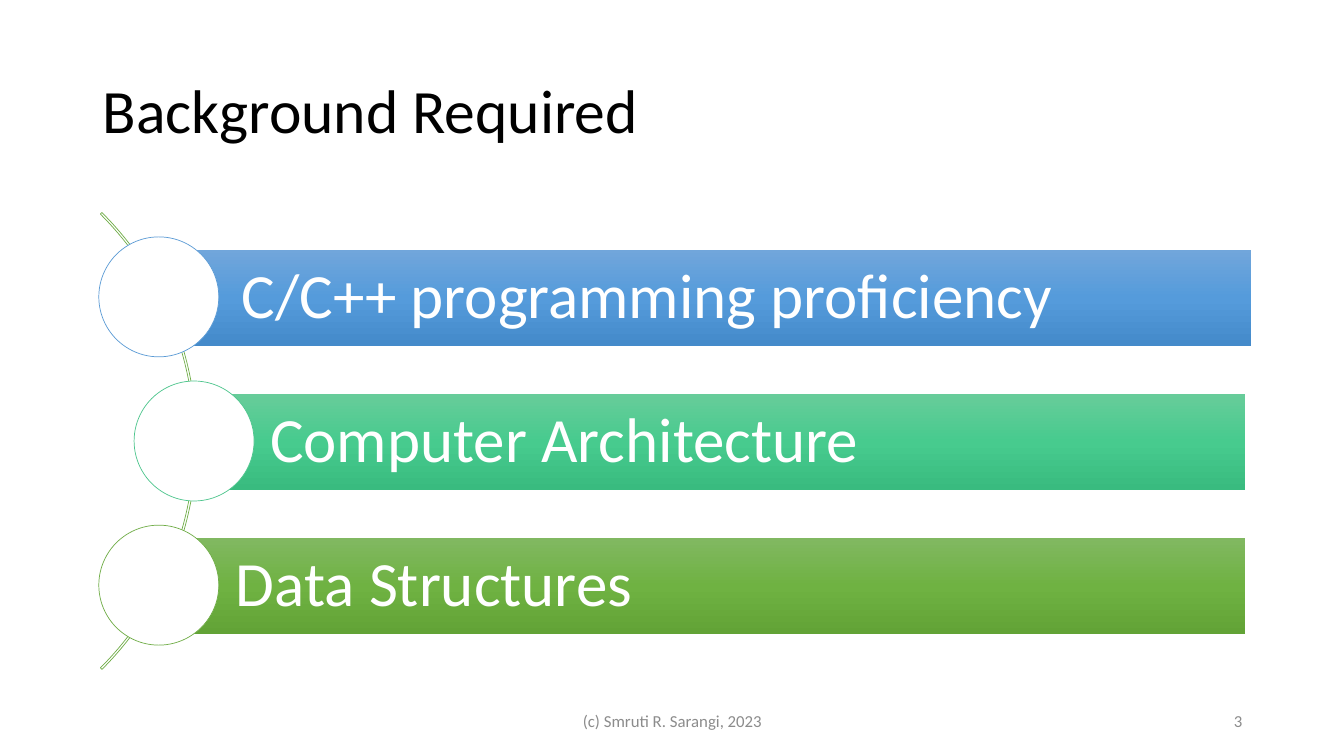
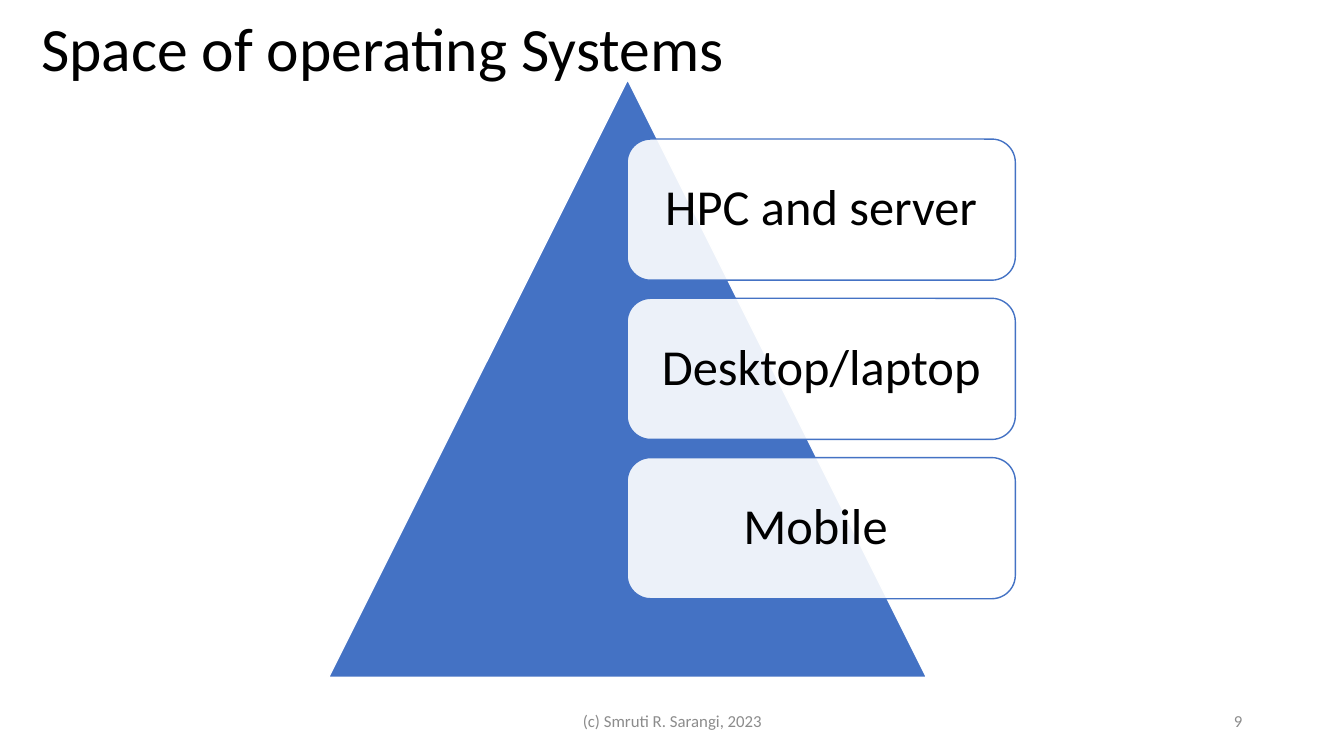
from copy import deepcopy

from lxml import etree
from pptx import Presentation
from pptx.dml.color import RGBColor
from pptx.enum.shapes import MSO_SHAPE
from pptx.enum.text import MSO_ANCHOR, PP_ALIGN
from pptx.oxml.ns import qn
from pptx.util import Emu, Pt

PX = 9144
FONT = "Calibri"
LEFT, CENTER, RIGHT = PP_ALIGN.LEFT, PP_ALIGN.CENTER, PP_ALIGN.RIGHT
MIDDLE = MSO_ANCHOR.MIDDLE
RECT, ELLIPSE = MSO_SHAPE.RECTANGLE, MSO_SHAPE.OVAL
ARC, TRIANGLE = MSO_SHAPE.BLOCK_ARC, MSO_SHAPE.ISOSCELES_TRIANGLE
ROUNDED = MSO_SHAPE.ROUNDED_RECTANGLE

COLORS = {
    "black": "000000",
    "white": "FFFFFF",
    "gray": "8C8C8C",
    "royal": "4472C4",
    "blue": "5B9BD5",
    "teal": "4DC58D",
    "green": "70AD47",
}
GRADIENTS = {
    "blue": ("71A6DB", "559BDB", "448ACA"),
    "teal": ("67CC9A", "47CB8E", "39BB7F"),
    "green": ("81B861", "6FB242", "62A336"),
}


def px(*lengths):
    return [Emu(length * PX) for length in lengths]


def rgb(name):
    return RGBColor.from_string(COLORS[name])


def write(shape, text, size, color="black", align=LEFT, spacing=0.9, insets=(10, 5, 10, 5)):
    frame = shape.text_frame
    frame.word_wrap = True
    frame.vertical_anchor = MIDDLE
    (frame.margin_left, frame.margin_top,
     frame.margin_right, frame.margin_bottom) = px(*insets)
    paragraph = frame.paragraphs[0]
    paragraph.alignment = align
    paragraph.line_spacing = spacing
    run = paragraph.add_run()
    run.text = text
    run.font.name = FONT
    run.font.size = Pt(size)
    run.font.color.rgb = rgb(color)


class Deck:
    def __init__(self):
        self.presentation = Presentation()
        self.presentation.slide_width, self.presentation.slide_height = px(1333, 750)
        self.slide = None

    def add_slide(self, title, title_at, number):
        self.slide = self.presentation.slides.add_slide(self.presentation.slide_layouts[6])
        self.text(title, (*title_at, 1150, 145), size=44)
        self.text(number, (942, 695, 300, 40), size=12, color="gray", align=RIGHT, spacing=1.0)
        self.text("(c) Smruti R. Sarangi, 2023", (442, 695, 450, 40),
                  size=12, color="gray", align=CENTER, spacing=1.0)

    def text(self, text, box, **style):
        write(self.slide.shapes.add_textbox(*px(*box)), text, **style)

    def shape(self, kind, box, fill=None, line=None, width=1.0, opacity=100):
        shape = self.slide.shapes.add_shape(kind, *px(*box))
        shape.shadow.inherit = False
        if fill:
            shape.fill.solid()
            shape.fill.fore_color.rgb = rgb(fill)
        else:
            shape.fill.background()
        if opacity < 100:
            color = shape._element.spPr.find(qn("a:solidFill"))[0]
            etree.SubElement(color, qn("a:alpha"), val=str(opacity * 1000))
        if line:
            shape.line.color.rgb = rgb(line)
            shape.line.width = Pt(width)
        else:
            shape.line.fill.background()
        return shape

    def gradient_bar(self, box, gradient):
        bar = self.shape(RECT, box)
        bar.fill.gradient()
        bar.fill.gradient_angle = 270
        stop_list = bar._element.spPr.find(qn("a:gradFill")).find(qn("a:gsLst"))
        stop_list.append(deepcopy(stop_list[-1]))
        for index, (stop, color) in enumerate(zip(bar.fill.gradient_stops, GRADIENTS[gradient])):
            stop.position = index / 2
            stop.color.rgb = RGBColor.from_string(color)
        return bar

    def arc(self, box, line, adjustments):
        arc = self.shape(ARC, box, line=line, width=0.5)
        for index, value in enumerate(adjustments):
            arc.adjustments[index] = value


def background_slide(deck):
    deck.add_slide("Background Required", (92, 40), "3")
    deck.arc((-446, 117, 641, 641), "green", (189, 27, 0.0034))
    topics = [
        ("C/C++ programming proficiency", "blue", 98, 164, 1241),
        ("Computer Architecture", "teal", 133, 192, 1235),
        ("Data Structures", "green", 98, 158, 1235),
    ]
    bar_height, circle, pitch = 95, 119, 143
    for row, (topic, color, circle_left, bar_left, bar_right) in enumerate(topics):
        top = 235 + row * pitch
        bar_box = (bar_left, top + (circle - bar_height) // 2 + 1,
                   bar_right - bar_left, bar_height)
        bar = deck.gradient_bar(bar_box, color)
        write(bar, topic, size=45, color="white", insets=(76, 12, 12, 12))
        deck.shape(ELLIPSE, (circle_left, top, circle, circle), "white", color, width=0.5)


def systems_slide(deck):
    deck.add_slide("Space of operating Systems", (31, -21), "9")
    deck.shape(TRIANGLE, (326, 79, 593, 593), "royal", "white")
    for row, system in enumerate(("HPC and server", "Desktop/laptop", "Mobile ")):
        card = deck.shape(ROUNDED, (622, 138 + row * 158, 385, 140),
                          "white", "royal", opacity=90)
        write(card, system, size=36, align=CENTER, insets=(15, 15, 15, 15))


def main():
    deck = Deck()
    background_slide(deck)
    systems_slide(deck)
    deck.presentation.save("out.pptx")


if __name__ == "__main__":
    main()
